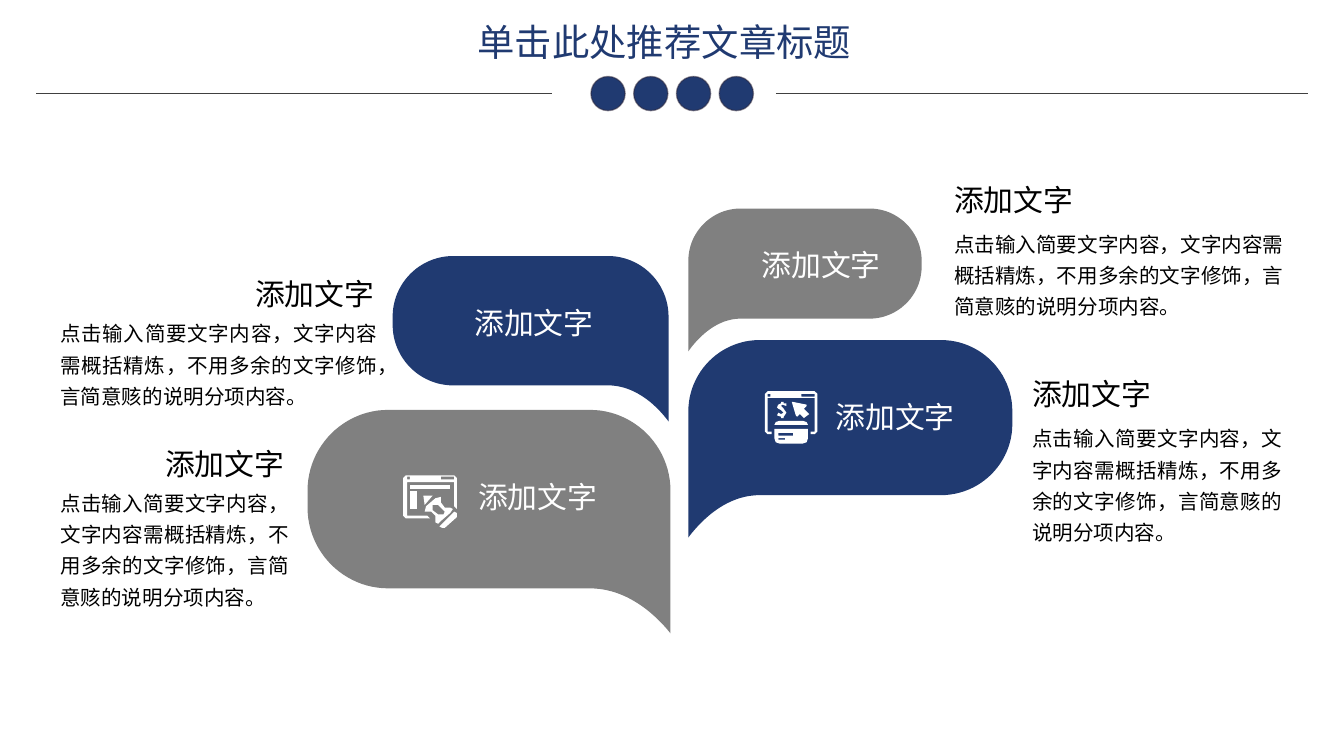
from dataclasses import dataclass

import lxml.etree
import pptx
import pptx.dml.color
import pptx.enum.shapes
import pptx.enum.text
import pptx.oxml.ns
import pptx.util

Pt = pptx.util.Pt
Align = pptx.enum.text.PP_ALIGN
Preset = pptx.enum.shapes.MSO_SHAPE
Point = tuple[float, float]
Contour = list[Point]


@dataclass(frozen=True)
class Theme:
    navy: str = "203A71"
    gray: str = "808080"
    rule: str = "404040"
    dot_edge: str = "2F2637"
    white: str = "FFFFFF"
    black: str = "000000"
    title_font: str = "Noto Sans CJK SC"
    text_font: str = "Noto Sans CJK JP"
    title_size: float = 20
    heading_size: float = 16
    body_size: float = 11
    line_height: float = 1.22


@dataclass(frozen=True)
class Petal:
    near: float
    far: float
    top: float
    bottom: float
    tip: float
    radius: float
    fill: str
    label_left: float
    label_top: float


@dataclass(frozen=True)
class Note:
    heading_left: float
    heading_top: float
    body_left: float
    body_top: float
    body_width: float
    lines: int


@dataclass(frozen=True)
class Icon:
    left: float
    top: float
    pieces: list[list[Contour]]


def box(left: float, top: float, right: float, bottom: float) -> Contour:
    return [(left, top), (right, top), (right, bottom), (left, bottom)]


THEME = Theme()
HEADING = "添加文字"
BODY = "点击输入简要文字内容，文字内容需概括精炼，不用多余的文字修饰，言简意赅的说明分项内容。"
ICON_UNIT = 0.72

PETALS = [
    Petal(359.2, 164.8, 219.6, 315.2, 339.3, 43.2, THEME.gray, 249.1, 252.7),
    Petal(358.2, 210.4, 137.2, 206.5, 225.8, 32.4, THEME.navy, 247, 159.1),
    Petal(368.8, 542.4, 182.2, 265.3, 288, 38.2, THEME.navy, 440.6, 209.5),
    Petal(368.8, 493.8, 111.7, 170.7, 188.2, 28, THEME.gray, 401, 128.2),
]

NOTES = [
    Note(81.4, 234.7, 25.2, 255.8, 136.8, 4),
    Note(129.6, 144, 25.2, 165.1, 184.3, 3),
    Note(504, 93.6, 504, 117, 190.8, 3),
    Note(545.8, 197.3, 545.8, 221.2, 148.3, 4),
]

GAVEL_PAGE = Icon(216, 254.7, [
    [[(2, 0), (0, 2), (0, 30), (2, 32), (20, 32), (18, 30), (3, 30), (3, 5), (38, 5),
      (38, 23), (40, 25), (40, 2), (38, 0)], box(3, 1, 5, 3), box(28, 1, 38, 3)],
    [box(5, 7, 35, 10)],
    [box(5, 12, 10, 25)],
    [[(15, 15), (22, 15), (16, 22)]],
    [[(35, 24), (31, 24), (28, 20), (28, 16), (24, 17), (17, 23), (16, 27), (21, 27),
      (24, 30), (24, 35), (26, 36), (28, 34), (35, 28), (37, 25)],
     [(29, 25), (31, 27), (30, 29), (26, 29), (22, 26), (22, 22), (26, 22)]],
    [[(38, 27), (27, 38), (29, 39), (31, 39), (40, 31), (40, 28)]],
])

PAYMENT_PAGE = Icon(409.8, 209.6, [
    [[(2, 0), (0, 2), (0, 30), (2, 32), (5, 32), (5, 30), (2, 30), (2, 5), (37, 5),
      (37, 30), (34, 30), (34, 32), (37, 32), (39, 30), (39, 2), (37, 0)],
     box(2, 2, 4, 4), box(27, 2, 37, 4)],
    [[(11, 22), (28, 22), (31, 23), (32, 25), (7, 25), (8, 23)]],
    [[(7, 28), (7, 35), (8, 38), (11, 39), (28, 39), (31, 38), (32, 35), (32, 28)],
     box(10, 31, 21, 33), box(10, 35, 15, 36)],
    [[(9, 12), (10, 13), (12, 14), (14, 16), (12, 17), (10, 16), (9, 18), (12, 19),
      (12, 20), (14, 20), (14, 19), (16, 16), (14, 13), (12, 11), (13, 10), (16, 11),
      (16, 9), (14, 9), (14, 8), (12, 8), (12, 9), (10, 10)]],
    [[(31, 10), (21, 8), (20, 8), (23, 18), (24, 19), (26, 17), (29, 20), (33, 17),
      (29, 13), (31, 11)]],
])


def color(value: str) -> pptx.dml.color.RGBColor:
    return pptx.dml.color.RGBColor.from_string(value)


def add_text(slide, text: str, left: float, top: float, width: float, *, size: float,
             font: str = THEME.text_font, ink: str = THEME.black, align=Align.LEFT,
             spacing: float = 1, lines: int = 1, wrap: bool = True) -> None:
    pitch = size * THEME.line_height * spacing
    frame = slide.shapes.add_textbox(
        Pt(left), Pt(top), Pt(width), Pt(pitch * lines + 7.2)).text_frame
    frame.word_wrap = wrap
    frame.auto_size = pptx.enum.text.MSO_AUTO_SIZE.SHAPE_TO_FIT_TEXT
    paragraph = frame.paragraphs[0]
    paragraph.alignment = align
    paragraph.line_spacing = Pt(pitch)
    run = paragraph.add_run()
    run.text = text
    run.font.size = Pt(size)
    run.font.name = font
    run.font.color.rgb = color(ink)
    east_asian = lxml.etree.SubElement(run.font._element, pptx.oxml.ns.qn("a:ea"))
    east_asian.set("typeface", font)


def add_outline(slide, contours: list[Contour], fill: str) -> None:
    scaled = [[(Pt(x), Pt(y)) for x, y in contour] for contour in contours]
    builder = slide.shapes.build_freeform(*scaled[0][0])
    for index, contour in enumerate(scaled):
        if index:
            builder.move_to(*contour[0])
        builder.add_line_segments(contour[1:], close=True)
    outline = builder.convert_to_shape()
    outline.shadow.inherit = False
    outline.fill.solid()
    outline.fill.fore_color.rgb = color(fill)
    outline.line.fill.background()


def curve(start: Point, first: Point, second: Point, end: Point, steps: int = 24) -> Contour:
    def at(t: float) -> Point:
        weights = ((1 - t) ** 3, 3 * t * (1 - t) ** 2, 3 * t * t * (1 - t), t ** 3)
        controls = (start, first, second, end)
        return (sum(w * p[0] for w, p in zip(weights, controls)),
                sum(w * p[1] for w, p in zip(weights, controls)))
    return [at(step / steps) for step in range(steps + 1)]


def add_petal(slide, petal: Petal) -> None:
    near, far, top, bottom, r = petal.near, petal.far, petal.top, petal.bottom, petal.radius
    side = 1 if far > near else -1
    inner, outer = near + side * r, far - side * r
    pull = 0.45 * r

    def corner(start: Point, edge: Point, end: Point) -> Contour:
        handles = [tuple(e + (p - e) * 0.45 for p, e in zip(point, edge))
                   for point in (start, end)]
        return curve(start, *handles, end)

    tail = curve((near, petal.tip), (near + side * 0.2 * r, bottom + 0.55 * (petal.tip - bottom)),
                 (near + side * (r - pull), bottom), (inner, bottom))
    contour = (tail
               + corner((outer, bottom), (far, bottom), (far, bottom - r))
               + corner((far, top + r), (far, top), (outer, top))
               + corner((inner, top), (near, top), (near, top + r)))
    add_outline(slide, [contour], petal.fill)


def add_icon(slide, icon: Icon) -> None:
    for piece in icon.pieces:
        add_outline(slide, [[(icon.left + x * ICON_UNIT, icon.top + y * ICON_UNIT)
                             for x, y in contour] for contour in piece], THEME.white)


def add_rule(slide, start: float, end: float, y: float) -> None:
    rule = slide.shapes.add_connector(
        pptx.enum.shapes.MSO_CONNECTOR.STRAIGHT, Pt(start), Pt(y), Pt(end), Pt(y))
    rule.line.color.rgb = color(THEME.rule)
    rule.line.width = Pt(0.5)
    lxml.etree.SubElement(rule._element.spPr, pptx.oxml.ns.qn("a:effectLst"))


def add_dot(slide, left: float, top: float, diameter: float) -> None:
    dot = slide.shapes.add_shape(Preset.OVAL, Pt(left), Pt(top), Pt(diameter), Pt(diameter))
    dot.shadow.inherit = False
    dot.fill.solid()
    dot.fill.fore_color.rgb = color(THEME.navy)
    dot.line.color.rgb = color(THEME.dot_edge)
    dot.line.width = Pt(0.75)
    line = dot._element.spPr.find(pptx.oxml.ns.qn("a:ln"))
    edge = line.find(".//" + pptx.oxml.ns.qn("a:srgbClr"))
    lxml.etree.SubElement(edge, pptx.oxml.ns.qn("a:alpha")).set("val", "50000")


def add_note(slide, note: Note) -> None:
    add_text(slide, HEADING, note.heading_left, note.heading_top, 80.6,
             size=THEME.heading_size, align=Align.JUSTIFY)
    add_text(slide, BODY, note.body_left, note.body_top, note.body_width,
             size=THEME.body_size, align=Align.JUSTIFY, spacing=1.25, lines=note.lines)


def main() -> None:
    deck = pptx.Presentation()
    deck.slide_width, deck.slide_height = Pt(720), Pt(405)
    slide = deck.slides.add_slide(deck.slide_layouts[6])
    for start, end in ((415.6, 700.6), (19.4, 295.8)):
        add_rule(slide, start, end, 50.2)
    for index in range(4):
        add_dot(slide, 316.6 + index * 22.9, 41, 18.3)
    add_text(slide, "单击此处推荐文章标题", 248.6, 6.5, 216.7, size=THEME.title_size,
             font=THEME.title_font, ink=THEME.navy, wrap=False)
    for petal in PETALS:
        add_petal(slide, petal)
        add_text(slide, HEADING, petal.label_left, petal.label_top, 88.6,
                 size=THEME.heading_size, ink=THEME.white)
    for note in NOTES:
        add_note(slide, note)
    for icon in (GAVEL_PAGE, PAYMENT_PAGE):
        add_icon(slide, icon)
    deck.save("out.pptx")


if __name__ == "__main__":
    main()
